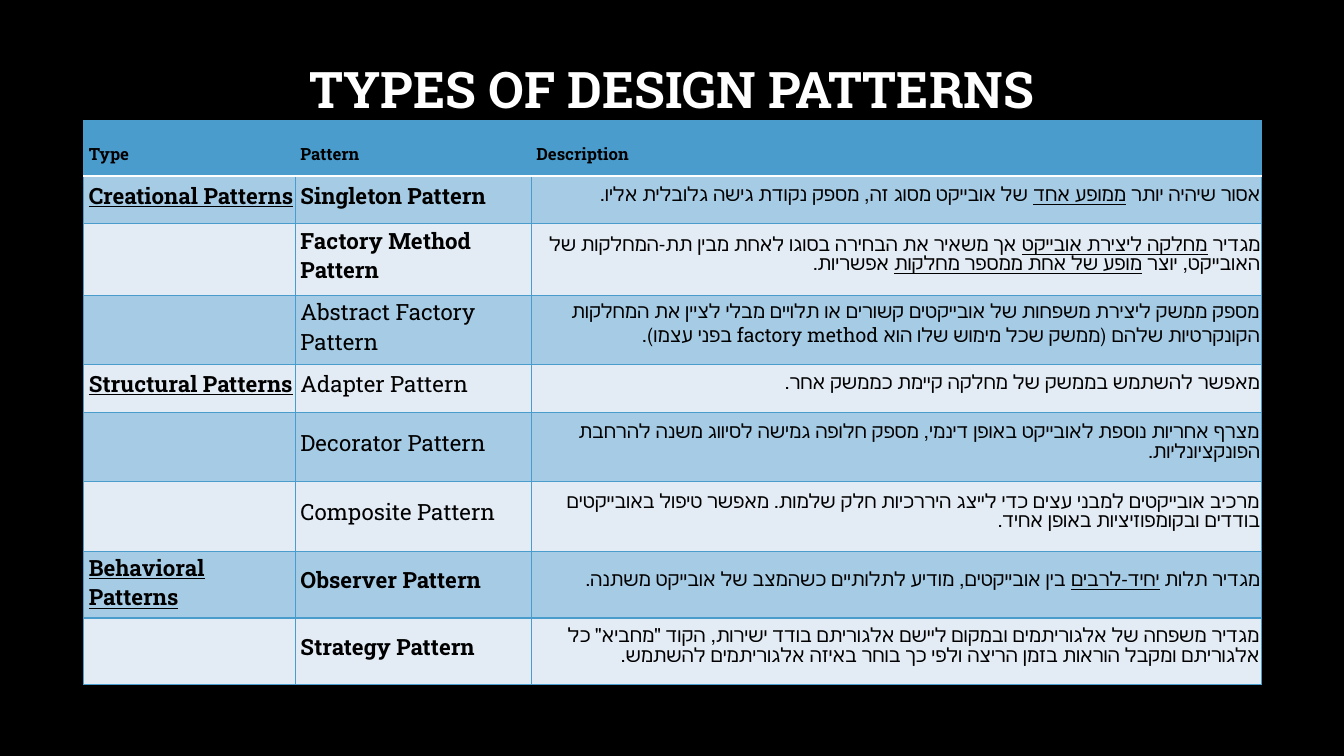
import pptx
import pptx.dml.color
import pptx.enum.text
import pptx.oxml
import pptx.oxml.ns
import pptx.util

BLACK, WHITE, BLUE, BAND, LIGHT = "000000", "FFFFFF", "4A9CCC", "A6CBE4", "E3EBF4"
COLUMNS = [2.1, 2.34, 7.24]
ROW_HEIGHTS = [0.55, 0.47, 0.71, 0.69, 0.47, 0.69, 0.69, 0.66, 0.66]
HEADINGS = ["Type", "Pattern", "Description"]

# Type, pattern, whether the pattern is bold, description with _underlined_ parts
PATTERNS = [
    ("Creational Patterns", "Singleton Pattern", True,
     "אסור שיהיה יותר _ממופע אחד_ של אובייקט מסוג זה, מספק נקודת גישה גלובלית אליו."),
    ("", "Factory Method Pattern", True,
     "מגדיר _מחלקה ליצירת אובייקט_ אך משאיר את הבחירה בסוגו לאחת מבין תת-המחלקות של "
     "האובייקט, יוצר _מופע של אחת ממספר מחלקות_ אפשריות."),
    ("", "Abstract Factory Pattern", False,
     "מספק ממשק ליצירת משפחות של אובייקטים קשורים או תלויים מבלי לציין את המחלקות "
     "הקונקרטיות שלהם (ממשק שכל מימוש שלו הוא factory method בפני עצמו)."),
    ("Structural Patterns", "Adapter Pattern", False,
     "מאפשר להשתמש בממשק של מחלקה קיימת כממשק אחר."),
    ("", "Decorator Pattern", False,
     "מצרף אחריות נוספת לאובייקט באופן דינמי, מספק חלופה גמישה לסיווג משנה להרחבת "
     "הפונקציונליות."),
    ("", "Composite Pattern", False,
     "מרכיב אובייקטים למבני עצים כדי לייצג היררכיות חלק שלמות. מאפשר טיפול באובייקטים "
     "בודדים ובקומפוזיציות באופן אחיד."),
    ("Behavioral Patterns", "Observer Pattern", True,
     "מגדיר תלות _יחיד-לרבים_ בין אובייקטים, מודיע לתלותיים כשהמצב של אובייקט משתנה."),
    ("", "Strategy Pattern", True,
     "מגדיר משפחה של אלגוריתמים ובמקום ליישם אלגוריתם בודד ישירות, הקוד \"מחביא\" כל "
     "אלגוריתם ומקבל הוראות בזמן הריצה ולפי כך בוחר באיזה אלגוריתמים להשתמש."),
]


def rgb(color):
    return pptx.dml.color.RGBColor.from_string(color)


class Deck:
    font = "Roboto Slab"

    def __init__(self, width, height):
        self.prs = pptx.Presentation()
        self.prs.slide_width = pptx.util.Inches(width)
        self.prs.slide_height = pptx.util.Inches(height)

    def add_slide(self, background):
        self.s = self.prs.slides.add_slide(self.prs.slide_layouts[6])
        self.s.background.fill.solid()
        self.s.background.fill.fore_color.rgb = rgb(background)

    def place(self, x, y, w, h):
        """Turn shares of the slide's size into lengths."""
        width, height = self.prs.slide_width, self.prs.slide_height
        return [round(v) for v in (x * width, y * height, w * width, h * height)]

    def style(self, r, size, color, bold=False, underline=False):
        f = r.font
        f.name, f.size, f.bold, f.underline = self.font, pptx.util.Pt(size), bold, underline
        f.color.rgb = rgb(color)

    def title(self, text, x, y, w, h, size, color):
        tf = self.s.shapes.add_textbox(*self.place(x, y, w, h)).text_frame
        tf.word_wrap = True
        tf.vertical_anchor = pptx.enum.text.MSO_ANCHOR.MIDDLE
        p = tf.paragraphs[0]
        p.text = text
        p.alignment = pptx.enum.text.PP_ALIGN.CENTER
        p.line_spacing = 0.9
        self.style(p.runs[0], size, color, bold=True)

    def table(self, x, y, columns, rows):
        w, h = sum(columns), sum(rows)
        left, top, _, _ = self.place(x, y, 0, 0)
        frame = self.s.shapes.add_table(len(rows), len(columns), left, top,
                                        pptx.util.Inches(w), pptx.util.Inches(h))
        table = frame.table
        for column, width in zip(table.columns, columns):
            column.width = pptx.util.Inches(width)
        for row, height in zip(table.rows, rows):
            row.height = pptx.util.Inches(height)
        return table

    def cell(self, cell, text, size, fill, bold=False, underline=False, rtl=False,
             anchor=pptx.enum.text.MSO_ANCHOR.MIDDLE, top=(BLUE, 1), bottom=(BLUE, 1)):
        """Fill a cell; parts of the text between underscores are underlined."""
        cell.margin_left, cell.margin_top, cell.margin_right, cell.margin_bottom = (
            pptx.util.Inches(v) for v in (0.05, 0.02, 0.01, 0.11))
        cell.vertical_anchor = anchor
        cell.fill.solid()
        cell.fill.fore_color.rgb = rgb(fill)
        self.borders(cell, (BLUE, 1), (BLUE, 1), top, bottom)
        p = cell.text_frame.paragraphs[0]
        if rtl:
            p.alignment = pptx.enum.text.PP_ALIGN.RIGHT
            p._p.get_or_add_pPr().set("rtl", "1")
        for i, part in enumerate(text.split("_")):
            if part:
                r = p.add_run()
                r.text = part
                self.style(r, size, BLACK, bold, underline or i % 2 == 1)

    def borders(self, cell, *sides):
        """Draw the left, right, top and bottom borders, each a colour and points."""
        tcPr = cell._tc.get_or_add_tcPr()
        for i, (side, (color, points)) in enumerate(zip("LRTB", sides)):
            tcPr.insert(i, pptx.oxml.parse_xml(
                f'<a:ln{side} {pptx.oxml.ns.nsdecls("a")} w="{pptx.util.Pt(points)}">'
                f'<a:solidFill><a:srgbClr val="{color}"/></a:solidFill></a:ln{side}>'))


def main():
    deck = Deck(13.33, 7.5)
    deck.add_slide(BLACK)
    deck.title("TYPES OF DESIGN PATTERNS", 0.12, 0.045, 0.76, 0.153, 36, WHITE)
    table = deck.table(0.0623, 0.16, COLUMNS, ROW_HEIGHTS)
    rule = (WHITE, 1.5)
    for column, heading in enumerate(HEADINGS):
        deck.cell(table.cell(0, column), heading, 12, BLUE, bold=True,
                  anchor=pptx.enum.text.MSO_ANCHOR.BOTTOM, bottom=rule)
    for row, (kind, pattern, bold, description) in enumerate(PATTERNS, 1):
        look = {"fill": BAND if row % 2 else LIGHT, "top": rule if row == 1 else (BLUE, 1)}
        deck.cell(table.cell(row, 0), kind, 16, bold=True, underline=True, **look)
        deck.cell(table.cell(row, 1), pattern, 16, bold=bold, **look)
        deck.cell(table.cell(row, 2), description, 14, rtl=True, **look)
    deck.prs.save("out.pptx")


if __name__ == "__main__":
    main()
